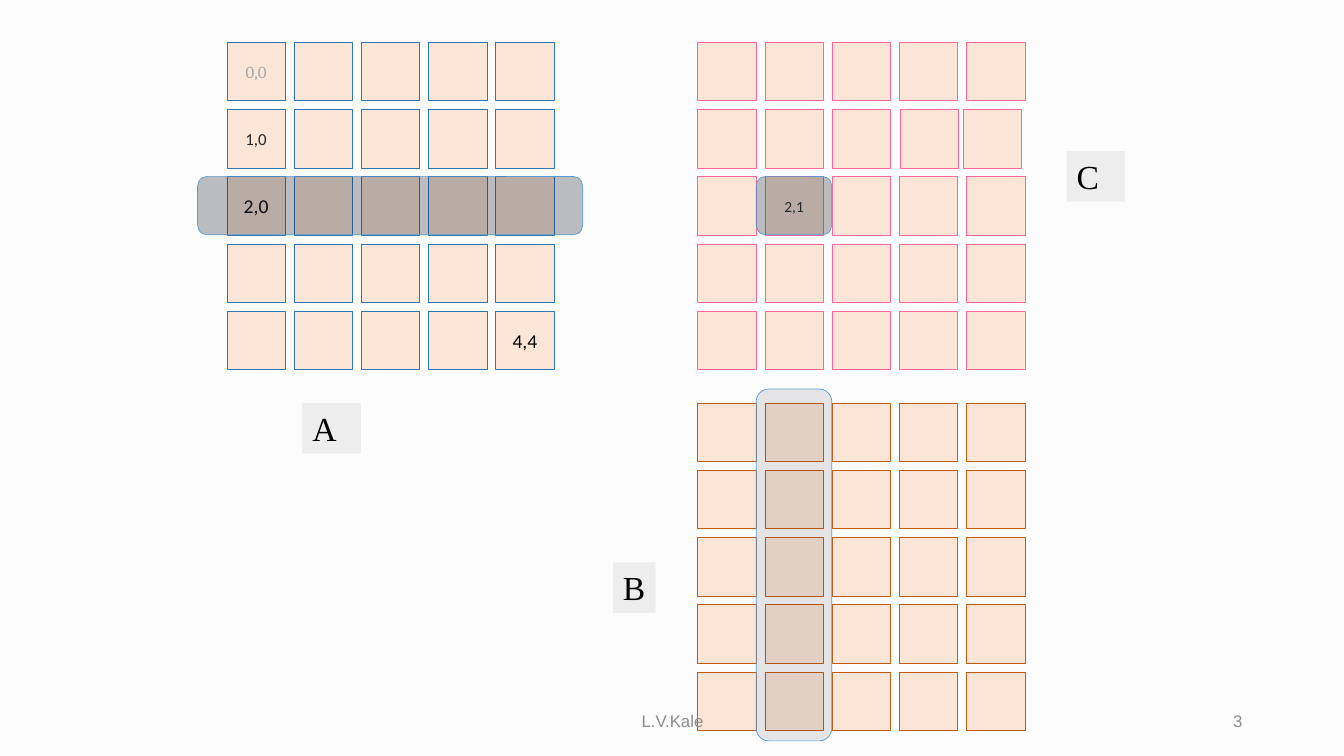
from dataclasses import dataclass

from lxml.etree import SubElement
from pptx import Presentation
from pptx.dml.color import RGBColor
from pptx.enum.shapes import MSO_SHAPE
from pptx.enum.text import MSO_ANCHOR, PP_ALIGN
from pptx.oxml.ns import qn
from pptx.util import Inches, Pt


@dataclass(frozen=True)
class Theme:
    background: str = "FCFCFC"
    cell: str = "FBE5D6"
    a_line: str = "2E75B6"
    b_line: str = "C55A11"
    c_line: str = "FF6699"
    label: str = "EDEDED"
    band: str = "222A35"
    band_line: str = "5B9BD5"
    black: str = "000000"
    dark: str = "262626"
    faded: str = "A5A5A5"
    footer: str = "8C8C8C"
    thin: float = 0.5
    tiny_size: int = 11
    small_size: int = 12
    index_size: int = 14
    label_size: int = 24


THEME = Theme()
GRID = 5
CELL = 0.58
PITCH = 2 / 3


def rgb(value):
    return RGBColor.from_string(value)


def write(sp, text, size, font, color, align, anchor):
    tf = sp.text_frame
    tf.word_wrap = True
    tf.vertical_anchor = anchor
    p = tf.paragraphs[0]
    p.alignment = align
    r = p.add_run()
    r.text = text
    r.font.size = Pt(size)
    r.font.name = font
    r.font.color.rgb = rgb(color)


def add_box(s, kind, left, top, width, height, fill, line=None):
    sp = s.shapes.add_shape(kind, Inches(left), Inches(top), Inches(width), Inches(height))
    sp.shadow.inherit = False
    sp.fill.solid()
    sp.fill.fore_color.rgb = rgb(fill)
    if line:
        sp.line.color.rgb = rgb(line)
        sp.line.width = Pt(THEME.thin)
    else:
        sp.line.fill.background()
    return sp


def add_matrix(s, left, top, line, entries=None, moved=None):
    """entries: (row, column) -> text, size, font, colour; moved: own left edges."""
    entries, moved = entries or {}, moved or {}
    for row in range(GRID):
        for col in range(GRID):
            x = moved.get((row, col), left + col * PITCH)
            sp = add_box(s, MSO_SHAPE.RECTANGLE, x, top + row * PITCH, CELL, CELL,
                         THEME.cell, line)
            if (row, col) in entries:
                write(sp, *entries[row, col], PP_ALIGN.CENTER, MSO_ANCHOR.MIDDLE)


def add_label(s, text, left, top, width):
    sp = add_box(s, MSO_SHAPE.RECTANGLE, left, top, width, 0.5, THEME.label)
    write(sp, text, THEME.label_size, "Times New Roman", THEME.black,
          PP_ALIGN.LEFT, MSO_ANCHOR.TOP)


def add_band(s, left, top, width, height, opacity):
    sp = add_box(s, MSO_SHAPE.ROUNDED_RECTANGLE, left, top, width, height,
                 THEME.band, THEME.band_line)
    color = sp.fill._xPr.find(qn("a:solidFill")).find(qn("a:srgbClr"))
    SubElement(color, qn("a:alpha")).set("val", str(opacity * 1000))


def add_footer(s, text, left, width, align):
    sp = s.shapes.add_textbox(Inches(left), Inches(6.95), Inches(width), Inches(0.4))
    write(sp, text, THEME.small_size, "Arial", THEME.footer, align, MSO_ANCHOR.MIDDLE)


def main():
    prs = Presentation()
    prs.slide_width, prs.slide_height = Inches(13.33), Inches(7.5)
    s = prs.slides.add_slide(prs.slide_layouts[6])
    s.background.fill.solid()
    s.background.fill.fore_color.rgb = rgb(THEME.background)

    # Matrices
    add_matrix(s, 2.25, 0.42, THEME.a_line, entries={
        (0, 0): ("0,0", THEME.small_size, "Cambria", THEME.faded),
        (1, 0): ("1,0", THEME.small_size, "Calibri", THEME.dark),
        (2, 0): ("2,0", THEME.index_size, "Calibri", THEME.black),
        (4, 4): ("4,4", THEME.index_size, "Calibri", THEME.black),
    })
    add_matrix(s, 6.92, 4, THEME.b_line)
    add_matrix(s, 6.92, 0.42, THEME.c_line,
               entries={(2, 1): ("2,1", THEME.tiny_size, "Calibri", THEME.dark)},
               moved={(1, 3): 8.93, (1, 4): 9.55})

    # Matrix names
    add_label(s, "A", 3, 4, 0.58)
    add_label(s, "C", 10.58, 1.5, 0.58)
    add_label(s, "B", 6.08, 5.58, 0.42)

    # Row of A, column of B and the resulting cell of C
    add_band(s, 1.96, 1.75, 3.82, CELL, 30)
    add_band(s, 7.5, 3.86, 0.75, 3.49, 11)
    add_band(s, 7.5, 1.75, 0.75, CELL, 30)

    # Footer
    add_footer(s, "L.V.Kale", 4.42, 4.5, PP_ALIGN.CENTER)
    add_footer(s, "3", 9.42, 3, PP_ALIGN.RIGHT)

    prs.save("out.pptx")


if __name__ == "__main__":
    main()
